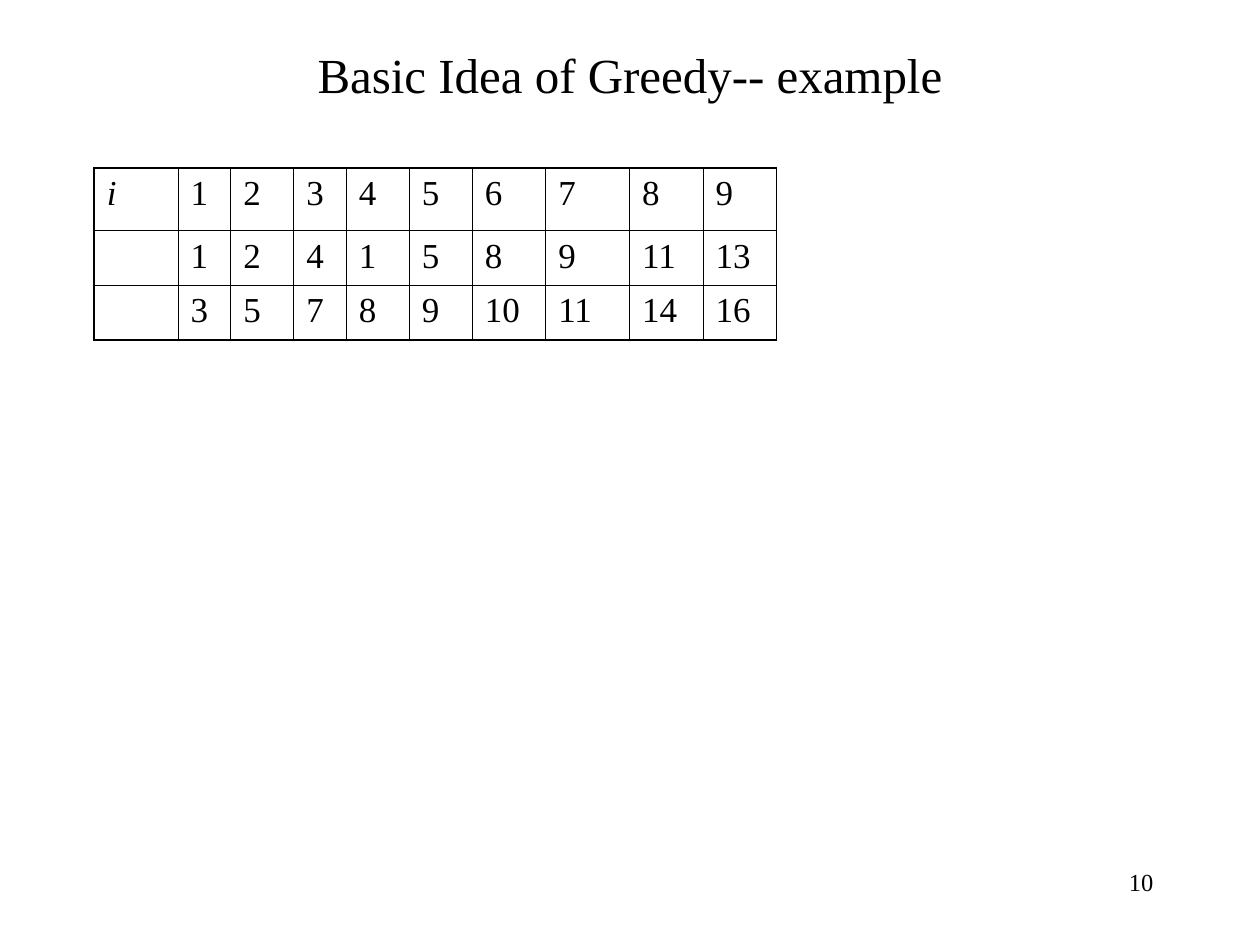
import pptx
import pptx.dml.color
import pptx.enum.text
import pptx.oxml.ns
import pptx.util
from lxml import etree
from pptx.util import Cm

COLORS = {"ink": "000000", "paper": "FFFFFF"}
FONT = "Times New Roman"
THIN, THICK = 0.45, 1.08
COLUMN_WIDTHS = [1.69, 1.06, 1.27, 1.06, 1.27, 1.27, 1.48, 1.69, 1.48, 1.48]
ROW_HEIGHTS = [1.27, 1.1, 1.1]
ACTIVITIES = [
    ["i", 1, 2, 3, 4, 5, 6, 7, 8, 9],
    ["", 1, 2, 4, 1, 5, 8, 9, 11, 13],
    ["", 3, 5, 7, 8, 9, 10, 11, 14, 16],
]


def rgb(name):
    return pptx.dml.color.RGBColor.from_string(COLORS[name])


def write_text(text_frame, text, size, alignment, italic=False):
    text_frame.text = text
    paragraph = text_frame.paragraphs[0]
    paragraph.alignment = alignment
    for run in paragraph.runs:
        run.font.name = FONT
        run.font.size = pptx.util.Pt(size)
        run.font.italic = italic
        run.font.color.rgb = rgb("ink")
    return paragraph


def set_border(cell, side, width):
    properties = cell._tc.get_or_add_tcPr()
    qualify = pptx.oxml.ns.qn
    line = etree.SubElement(properties, qualify(f"a:ln{side}"), w=str(pptx.util.Pt(width)))
    fill = etree.SubElement(line, qualify("a:solidFill"))
    etree.SubElement(fill, qualify("a:srgbClr"), val=COLORS["ink"])


def add_title(slide, text):
    title = slide.shapes.title
    title.left, title.top, title.width, title.height = Cm(1.9), Cm(0.43), Cm(21.6), Cm(2.1)
    title.text_frame.vertical_anchor = pptx.enum.text.MSO_ANCHOR.MIDDLE
    write_text(title.text_frame, text, 28, pptx.enum.text.PP_ALIGN.CENTER)


def add_activity_table(slide):
    row_count, column_count = len(ROW_HEIGHTS), len(COLUMN_WIDTHS)
    table = slide.shapes.add_table(
        row_count, column_count, Cm(1.9), Cm(3.38),
        Cm(sum(COLUMN_WIDTHS)), Cm(sum(ROW_HEIGHTS)),
    ).table
    table.first_row = False
    table.horz_banding = False
    for column, width in zip(table.columns, COLUMN_WIDTHS):
        column.width = Cm(width)
    for row, height in zip(table.rows, ROW_HEIGHTS):
        row.height = Cm(height)
    for row_index, values in enumerate(ACTIVITIES):
        for column_index, value in enumerate(values):
            cell = table.cell(row_index, column_index)
            paragraph = write_text(
                cell.text_frame, str(value), 20, pptx.enum.text.PP_ALIGN.LEFT, value == "i"
            )
            paragraph.space_before = pptx.util.Pt(5)
            outer_sides = {
                "L": column_index == 0,
                "R": column_index == column_count - 1,
                "T": row_index == 0,
                "B": row_index == row_count - 1,
            }
            for side, is_outer in outer_sides.items():
                set_border(cell, side, THICK if is_outer else THIN)
            cell.fill.solid()
            cell.fill.fore_color.rgb = rgb("paper")


def add_page_number(slide, text):
    box = slide.shapes.add_textbox(Cm(18.2), Cm(17.35), Cm(5.3), Cm(1.27))
    box.text_frame.word_wrap = True
    write_text(box.text_frame, text, 14, pptx.enum.text.PP_ALIGN.RIGHT)


def main():
    presentation = pptx.Presentation()
    presentation.slide_width = Cm(25.4)
    presentation.slide_height = Cm(19.05)
    slide = presentation.slides.add_slide(presentation.slide_layouts[5])
    add_title(slide, "Basic Idea of Greedy-- example")
    add_activity_table(slide)
    add_page_number(slide, "10")
    presentation.save("out.pptx")


if __name__ == "__main__":
    main()
